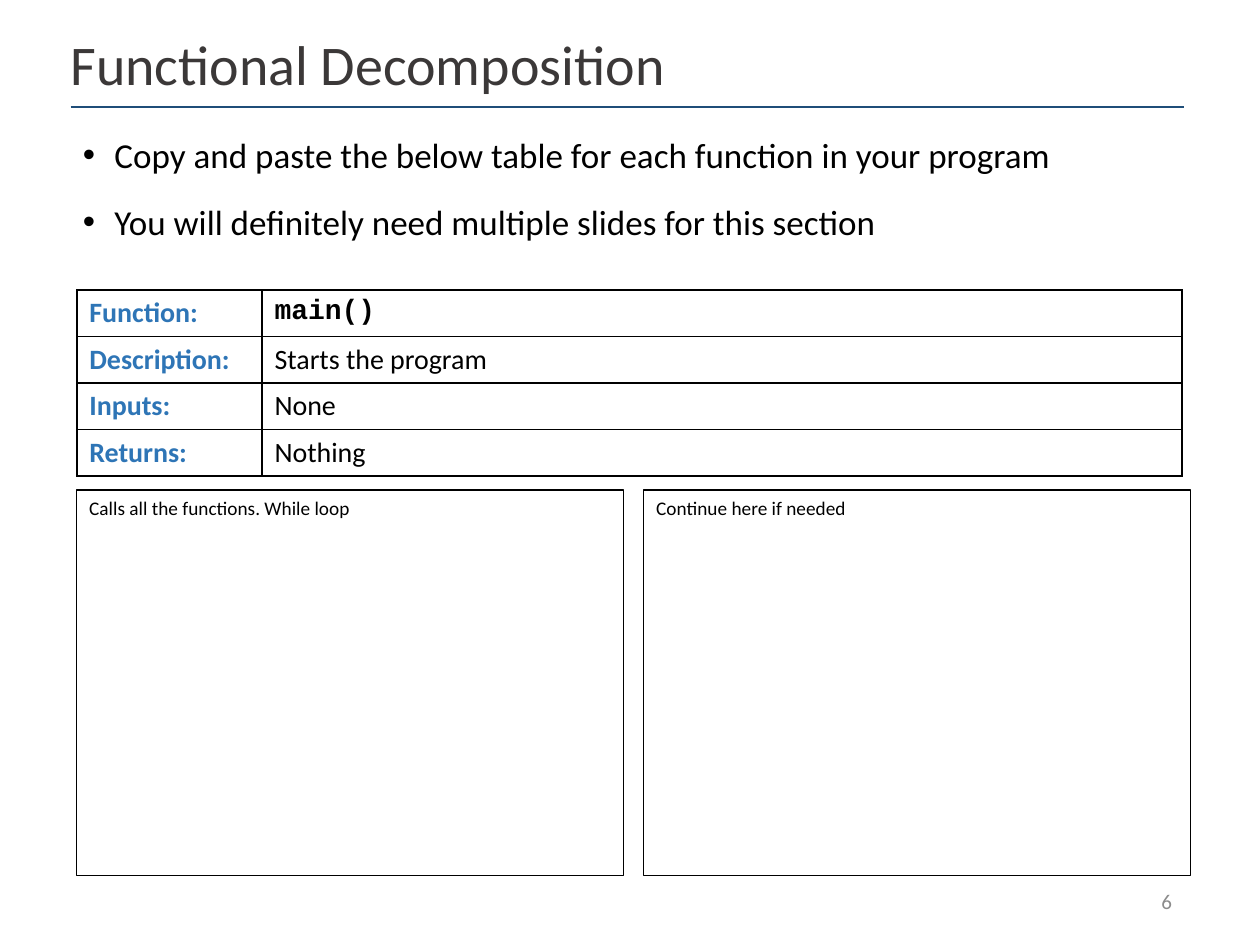
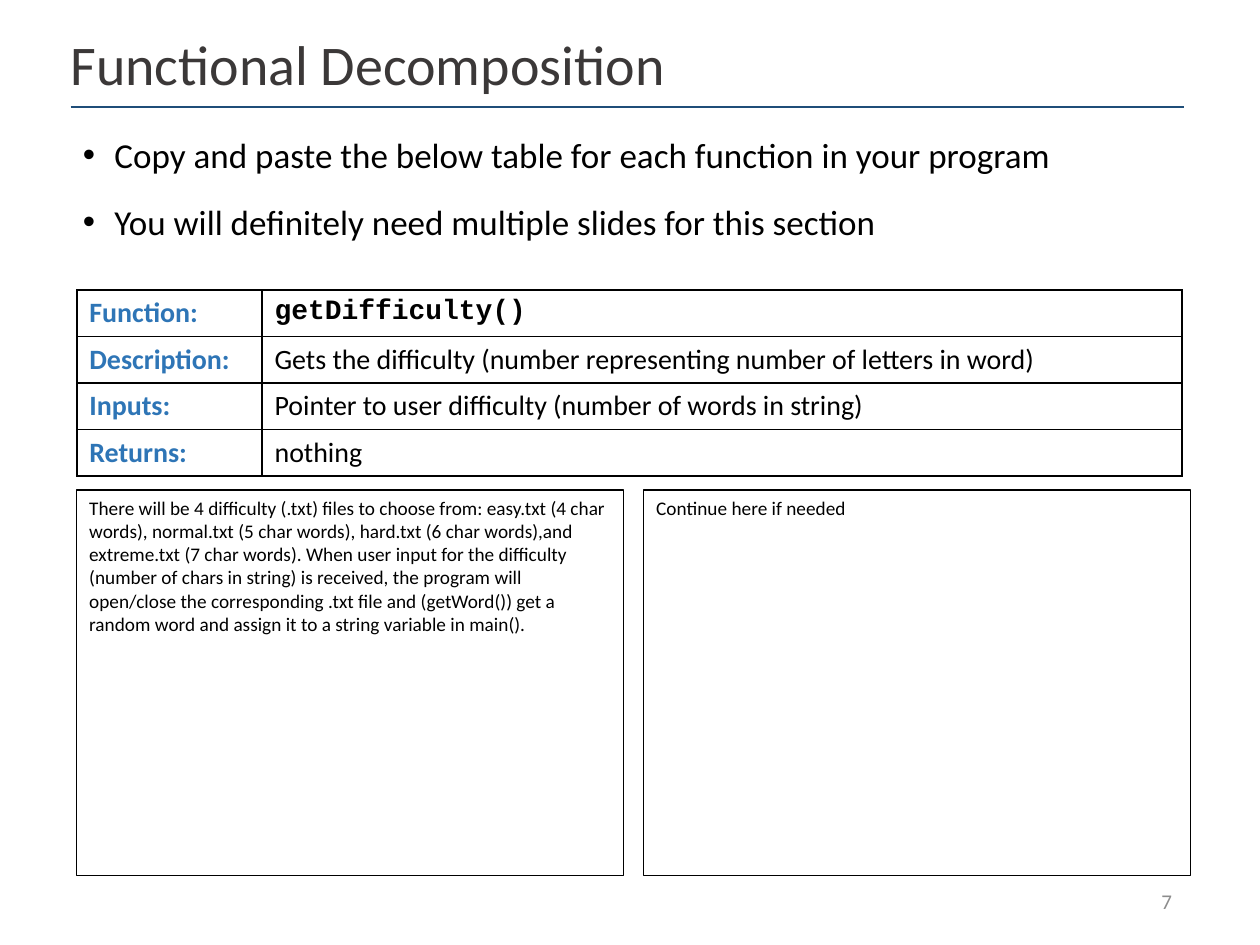
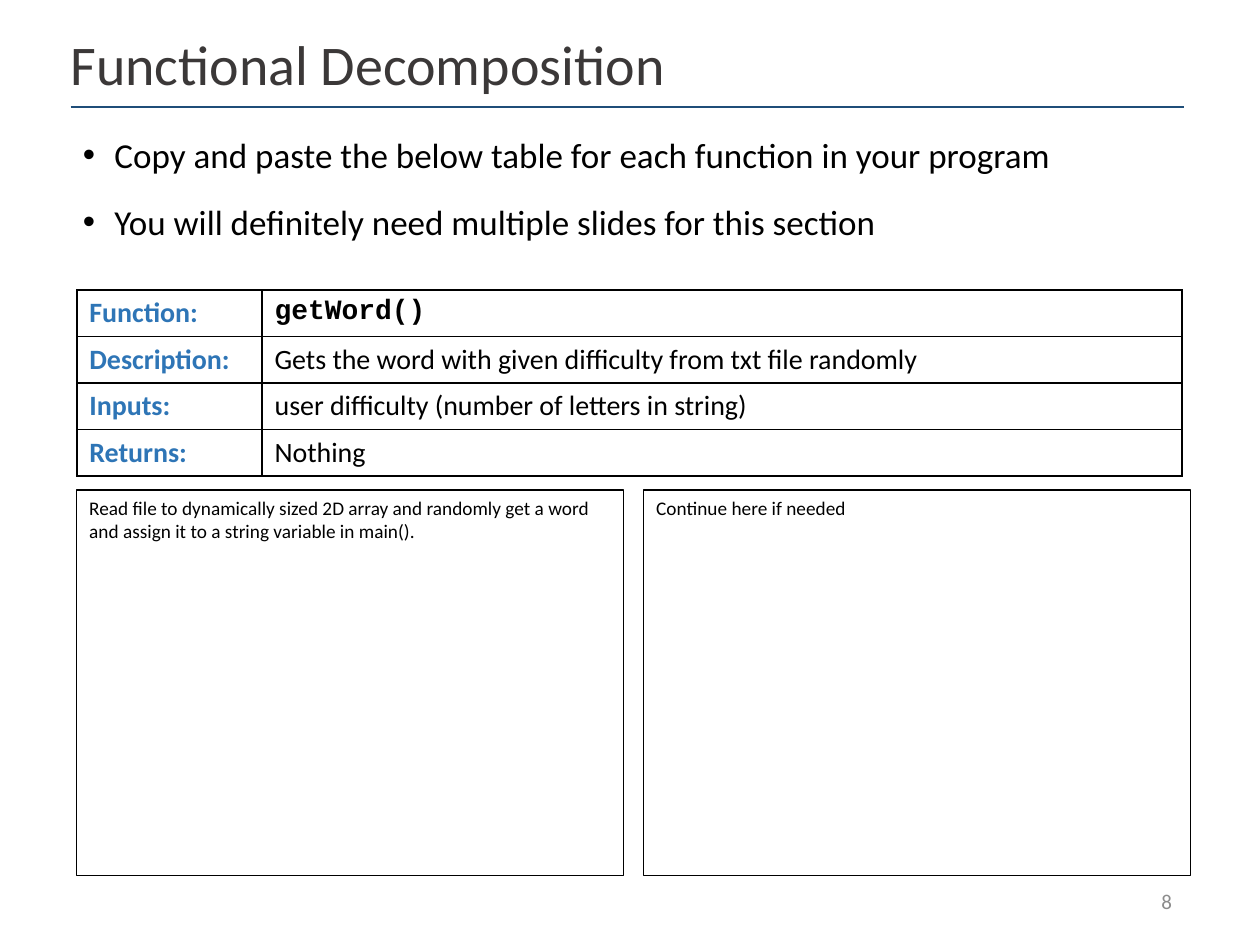
"""Builds the functional decomposition slides, one per function of the program."""
from dataclasses import dataclass

from lxml import etree
from pptx import Presentation, util as u
from pptx.dml.color import RGBColor
from pptx.enum import shapes, text
from pptx.oxml.ns import qn

TITLE = "Functional Decomposition"
INSTRUCTIONS = [
    "Copy and paste the below table for each function in your program",
    "You will definitely need multiple slides for this section",
]
LABELS = ["Function:", "Description:", "Inputs:", "Returns:"]
CONTINUATION = "Continue here if needed"
FIRST_PAGE = 6
FUNCTIONS = [
    {
        "values": ["main()", "Starts the program", "None", "Nothing"],
        "design": "Calls all the functions. While loop",
    },
    {
        "values": [
            "getDifficulty()",
            "Gets the difficulty (number representing number of letters in word)",
            "Pointer to user difficulty (number of words in string)",
            "nothing",
        ],
        "design": "There will be 4 difficulty (.txt) files to choose from: easy.txt (4 char words), "
                  "normal.txt (5 char words), hard.txt (6 char words),and extreme.txt (7 char words). "
                  "When user input for the difficulty (number of chars in string) is received, the "
                  "program will open/close the corresponding .txt file and (getWord()) get a random "
                  "word and assign it to a string variable in main().",
    },
    {
        "values": [
            "getWord()",
            "Gets the word with given difficulty from txt file randomly",
            "user difficulty (number of letters in string)",
            "Nothing",
        ],
        "design": "Read file to dynamically sized 2D array and randomly get a word and assign it to "
                  "a string variable in main().",
    },
]


@dataclass(frozen=True)
class Theme:
    """Colours, fonts and type sizes shared by the slides."""
    ink: str = "000000"
    heading: str = "3B3838"
    rule: str = "1F4E79"
    label: str = "2E75B6"
    page: str = "8C8C8C"
    body_font: str = "Calibri"
    code_font: str = "Courier New"
    title_size: int = 32
    instruction_size: int = 20
    table_size: int = 16
    page_size: int = 12
    design_size: int = 11


THEME = Theme()
WIDTH, HEIGHT = 10, 7.5
LEFT, RIGHT = 0.56, 9.4
TABLE_LEFT, TABLE_TOP = 0.61, 2.3
COLUMNS, ROW = (1.47, 7.3), 0.37
PANE_TOP, PANE_WIDTH, PANE_HEIGHT, PANE_GAP = 3.89, 4.34, 3.06, 0.16


def inches(*lengths):
    """Convert lengths in inches."""
    return [u.Inches(length) for length in lengths]


def write(frame, *lines, size, color=THEME.ink, font=THEME.body_font, bold=False,
          align=text.PP_ALIGN.LEFT, anchor=text.MSO_ANCHOR.TOP,
          spacing=None, before=None, bullet=None):
    """Fill a text frame with one formatted paragraph per line."""
    frame.word_wrap = True
    frame.vertical_anchor = anchor
    for index, line in enumerate(lines):
        paragraph = frame.add_paragraph() if index else frame.paragraphs[0]
        paragraph.alignment = align
        paragraph.line_spacing = spacing
        paragraph.space_before = before
        run = paragraph.add_run()
        run.text = line
        run.font.size, run.font.name, run.font.bold = u.Pt(size), font, bold
        run.font.color.rgb = RGBColor.from_string(color)
        if bullet:
            properties = paragraph._p.get_or_add_pPr()
            indent = u.Inches(0.25)
            properties.set("marL", str(indent))
            properties.set("indent", str(-indent))
            etree.SubElement(properties, qn("a:buFont"), typeface="Arial")
            etree.SubElement(properties, qn("a:buChar"), char=bullet)


def add_text(slide, box, *lines, **style):
    """Add a text box at the given left, top, width and height."""
    write(slide.shapes.add_textbox(*inches(*box)).text_frame, *lines, **style)


def add_frame(slide, page):
    """Add the title, its rule, the instructions and the page number."""
    rule = slide.shapes.add_connector(
        shapes.MSO_CONNECTOR.STRAIGHT, *inches(LEFT, 0.85, RIGHT, 0.85))
    rule.line.color.rgb = RGBColor.from_string(THEME.rule)
    rule.line.width = u.Pt(1)
    etree.SubElement(rule._element.spPr, qn("a:effectLst"))
    add_text(slide, (0.46, 0.23, 8.95, 0.61), TITLE, size=THEME.title_size,
             color=THEME.heading, anchor=text.MSO_ANCHOR.MIDDLE, spacing=0.9)
    add_text(slide, (RIGHT - 2.25, 6.95, 2.25, 0.4), str(page), size=THEME.page_size,
             color=THEME.page, align=text.PP_ALIGN.RIGHT, anchor=text.MSO_ANCHOR.MIDDLE)
    add_text(slide, (LEFT, 0.94, 8.85, 1.1), *INSTRUCTIONS, size=THEME.instruction_size,
             spacing=1.2, before=u.Pt(10), bullet="•")


def outline(cell):
    """Clear the cell's fill and draw its four borders."""
    cell.fill.background()
    properties = cell._tc.get_or_add_tcPr()
    for index, side in enumerate("LRTB"):
        border = etree.Element(qn(f"a:ln{side}"), w=str(u.Pt(1)))
        fill = etree.SubElement(border, qn("a:solidFill"))
        etree.SubElement(fill, qn("a:srgbClr"), val=THEME.ink)
        properties.insert(index, border)


def add_signature(slide, values):
    """Add the table that names and describes the function."""
    table = slide.shapes.add_table(
        len(LABELS), len(COLUMNS),
        *inches(TABLE_LEFT, TABLE_TOP, sum(COLUMNS), ROW * len(LABELS))).table
    table.first_row = table.horz_banding = False
    for column, width in zip(table.columns, COLUMNS):
        column.width = u.Inches(width)
    for index, (label, value) in enumerate(zip(LABELS, values)):
        table.rows[index].height = u.Inches(ROW)
        name, detail = table.rows[index].cells
        is_code = index == 0
        write(name.text_frame, label, size=THEME.table_size, color=THEME.label, bold=True)
        write(detail.text_frame, value, size=THEME.table_size, bold=is_code,
              font=THEME.code_font if is_code else THEME.body_font)
        outline(name)
        outline(detail)


def add_panes(slide, *designs):
    """Add the outlined design panes side by side."""
    for index, design in enumerate(designs):
        left = TABLE_LEFT + index * (PANE_WIDTH + PANE_GAP)
        pane = slide.shapes.add_shape(
            shapes.MSO_SHAPE.RECTANGLE, *inches(left, PANE_TOP, PANE_WIDTH, PANE_HEIGHT))
        pane.shadow.inherit = False
        pane.fill.background()
        pane.line.color.rgb = RGBColor.from_string(THEME.ink)
        pane.line.width = u.Pt(0.75)
        write(pane.text_frame, design, size=THEME.design_size)


def main():
    """Build and save the presentation."""
    deck = Presentation()
    deck.slide_width, deck.slide_height = inches(WIDTH, HEIGHT)
    for page, function in enumerate(FUNCTIONS, FIRST_PAGE):
        slide = deck.slides.add_slide(deck.slide_layouts[6])
        add_frame(slide, page)
        add_signature(slide, function["values"])
        add_panes(slide, function["design"], CONTINUATION)
    deck.save("out.pptx")


if __name__ == "__main__":
    main()
